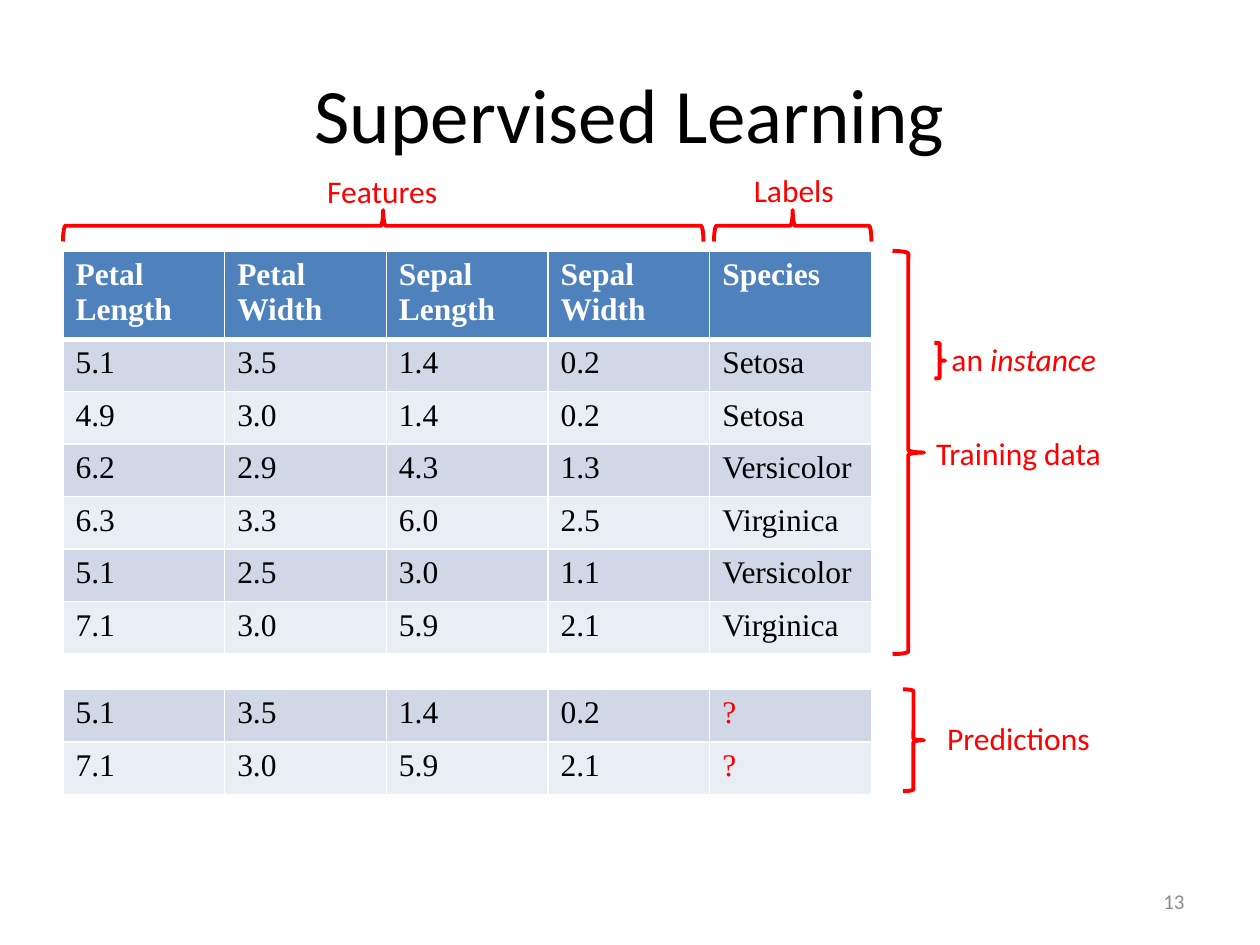
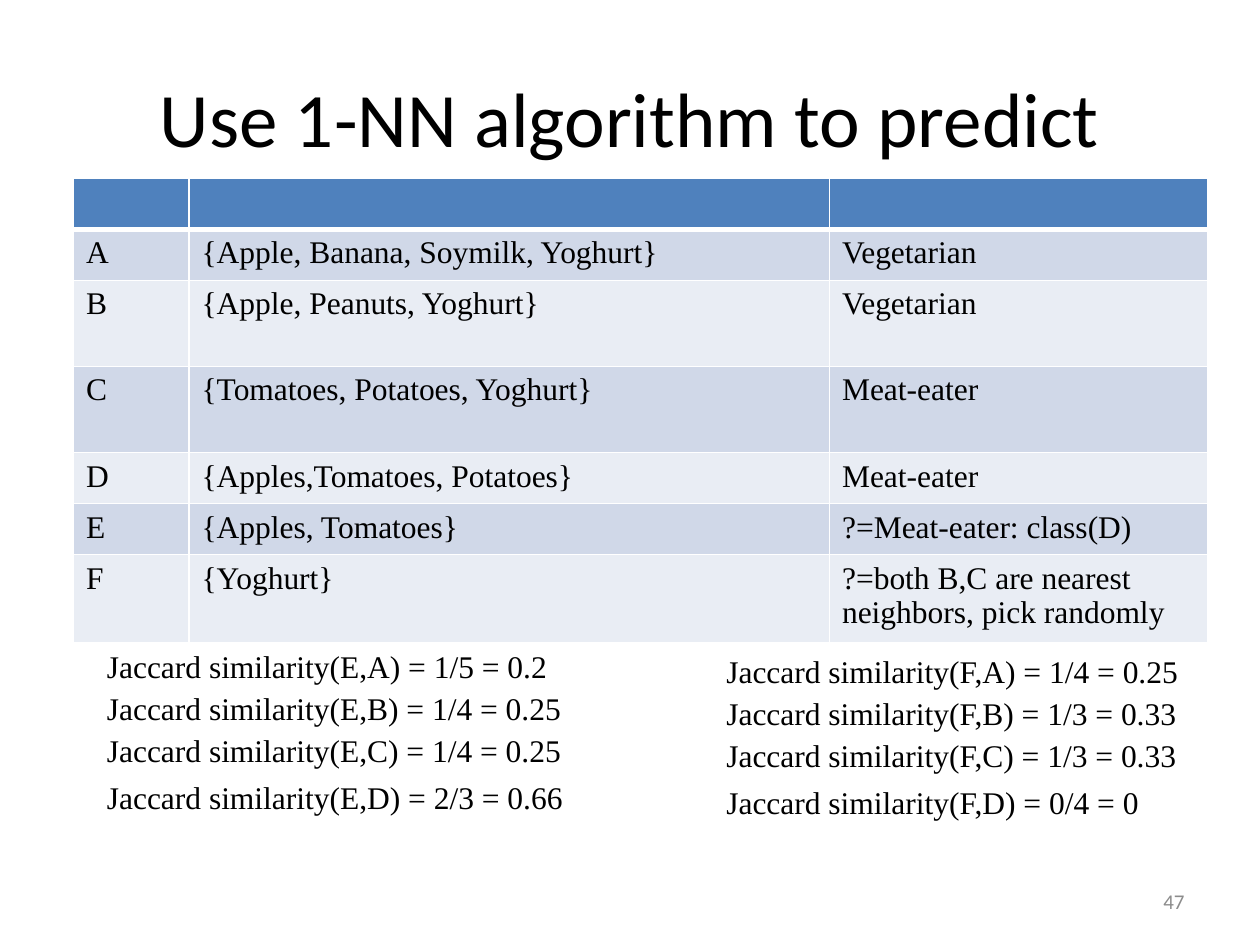
"""Build two slides on supervised learning and 1-NN prediction."""
import pptx
import pptx.dml.color
import pptx.enum.shapes
import pptx.enum.text
import pptx.oxml
import pptx.oxml.ns
import pptx.util

COLS, ROWS = 120, 90
COLORS = {
    "ink": "000000", "accent": "FF0000", "number": "8C8C8C", "white": "FFFFFF",
    "header": "4F81BD", "dark_band": "D0D8E8", "light_band": "E9EDF4",
}
SANS, SERIF = "Calibri", "Times New Roman"
ALIGN = pptx.enum.text.PP_ALIGN
ANCHOR = pptx.enum.text.MSO_ANCHOR


class Deck:
    """Holds the style and the current slide, on a grid of 120 by 90 cells."""

    def __init__(self):
        self.prs = pptx.Presentation()
        self.prs.slide_width = pptx.util.Inches(10)
        self.prs.slide_height = pptx.util.Inches(7.5)
        self.slide = None

    def x(self, cols):
        return round(self.prs.slide_width * cols / COLS)

    def y(self, rows):
        return round(self.prs.slide_height * rows / ROWS)

    def box(self, left, top, width, height):
        return self.x(left), self.y(top), self.x(width), self.y(height)

    def color(self, name):
        return pptx.dml.color.RGBColor.from_string(COLORS[name])

    def style(self, p, size=18, font=SANS, color="ink", bold=False):
        p.font.size = pptx.util.Pt(size)
        p.font.name = font
        p.font.bold = bold
        p.font.color.rgb = self.color(color)

    def text(self, at, text, italic="", align=ALIGN.LEFT, anchor=ANCHOR.TOP, **style):
        tf = self.slide.shapes.add_textbox(*self.box(*at)).text_frame
        tf.word_wrap = True
        tf.vertical_anchor = anchor
        p = tf.paragraphs[0]
        p.alignment = align
        p.add_run().text = text
        if italic:
            r = p.add_run()
            r.text = italic
            r.font.italic = True
        self.style(p, **style)

    def add_slide(self, title, number, title_top):
        self.slide = self.prs.slides.add_slide(self.prs.slide_layouts[6])
        self.text((6, title_top, 108, 15), title, align=ALIGN.CENTER,
                  anchor=ANCHOR.MIDDLE, size=44)
        self.text((86, 83.4, 28, 4.8), str(number), align=ALIGN.RIGHT,
                  anchor=ANCHOR.MIDDLE, size=12, color="number")

    def label(self, left, top, text, italic=""):
        self.text((left, top, 22, 4.8), text, italic, align=ALIGN.CENTER, color="accent")

    def brace(self, left, top, width, height, upward=False):
        if upward:
            left, top = left + (width - height) / 2, top + (height - width) / 2
            width, height = height, width
        sp = self.slide.shapes.add_shape(
            pptx.enum.shapes.MSO_SHAPE.RIGHT_BRACE, *self.box(left, top, width, height))
        sp.rotation = 270 if upward else 0
        sp.shadow.inherit = False
        sp.fill.background()
        sp.line.color.rgb = self.color("accent")
        sp.line.width = pptx.util.Pt(2.25)

    def borders(self, cell, **widths):
        tc_pr = cell._tc.get_or_add_tcPr()
        for side in "LRTB":
            width = pptx.util.Pt(widths.get(side, 1))
            tc_pr.append(pptx.oxml.parse_xml(
                f'<a:ln{side} {pptx.oxml.ns.nsdecls("a")} w="{width}"><a:solidFill>'
                f'<a:srgbClr val="{COLORS["white"]}"/></a:solidFill></a:ln{side}>'))

    def table(self, left, top, col_widths, row_heights, rows, header=True):
        at = self.box(left, top, sum(col_widths), sum(row_heights))
        table = self.slide.shapes.add_table(len(rows), len(col_widths), *at).table
        table.first_row = header
        table.horz_banding = False
        for column, width in zip(table.columns, col_widths):
            column.width = self.x(width)
        for i, (row, height) in enumerate(zip(rows, row_heights)):
            table.rows[i].height = self.y(height)
            is_header = header and i == 0
            band = "dark_band" if (i - header) % 2 == 0 else "light_band"
            for cell, value in zip(table.rows[i].cells, row):
                cell.text = value
                ink = "white" if is_header else "accent" if value == "?" else "ink"
                self.style(cell.text_frame.paragraphs[0], font=SERIF, color=ink,
                           bold=is_header)
                self.borders(cell, B=3 if is_header else 1,
                             T=3 if header and i == 1 else 1)
                cell.fill.solid()
                cell.fill.fore_color.rgb = self.color("header" if is_header else band)


def supervised_learning(deck):
    deck.add_slide("Supervised Learning", 13, 3.25)
    training = [
        ["Petal Length", "Petal Width", "Sepal Length", "Sepal Width", "Species"],
        ["5.1", "3.5", "1.4", "0.2", "Setosa"],
        ["4.9", "3.0", "1.4", "0.2", "Setosa"],
        ["6.2", "2.9", "4.3", "1.3", "Versicolor"],
        ["6.3", "3.3", "6.0", "2.5", "Virginica"],
        ["5.1", "2.5", "3.0", "1.1", "Versicolor"],
        ["7.1", "3.0", "5.9", "2.1", "Virginica"],
    ]
    unlabelled = [training[i][:4] + ["?"] for i in (1, 6)]
    col_widths = [15.4] * 5
    training_top, unlabelled_top = 23.9, 65.65
    deck.table(6, training_top, col_widths, [7.7] + [5] * 6, training)
    deck.table(6, unlabelled_top, col_widths, [5] * 2, unlabelled, header=False)

    deck.brace(6, 20, 61, 3, upward=True)
    deck.brace(68, 20, 15, 3, upward=True)
    deck.brace(85, training_top, 3, 38.4)
    deck.brace(86, unlabelled_top, 2, 9.7)
    deck.brace(89, 32.65, 1, 3.4)

    deck.label(25.4, 15.8, "Features")
    deck.label(64.6, 15.7, "Labels")
    deck.label(86, 40.7, "Training data")
    deck.label(86, 67.9, "Predictions")
    deck.label(86.5, 31.8, "an ", "instance")


def nearest_neighbor(deck):
    deck.add_slide("Use 1-NN algorithm to predict", 47, 3.6)
    diets = [
        ["", "", ""],
        ["A", "{Apple, Banana, Soymilk, Yoghurt}", "Vegetarian"],
        ["B", "{Apple, Peanuts, Yoghurt}", "Vegetarian"],
        ["C", "{Tomatoes, Potatoes, Yoghurt}", "Meat-eater"],
        ["D", "{Apples,Tomatoes, Potatoes}", "Meat-eater"],
        ["E", "{Apples, Tomatoes}", "?=Meat-eater: class(D)"],
        ["F", "{Yoghurt}", "?=both B,C are nearest neighbors, pick randomly"],
    ]
    single, tall, double = 4.86, 8.2, 7.8
    deck.table(7, 17, [11, 61, 36],
               [single, single, tall, tall, single, single, double], diets)

    similarities = [
        ("E", 9, 61, ["1/5 = 0.2", "1/4 = 0.25", "1/4 = 0.25", "2/3 = 0.66"]),
        ("F", 68, 61.5, ["1/4 = 0.25", "1/3 = 0.33", "1/3 = 0.33", "0/4 = 0"]),
    ]
    for item, left, top, scores in similarities:
        for other, offset, score in zip("ABCD", (0, 4, 8, 12.5), scores):
            deck.text((left, top + offset, 48, 4.8),
                      f"Jaccard similarity({item},{other}) = {score}", font=SERIF)


def main():
    deck = Deck()
    supervised_learning(deck)
    nearest_neighbor(deck)
    deck.prs.save("out.pptx")


if __name__ == "__main__":
    main()
